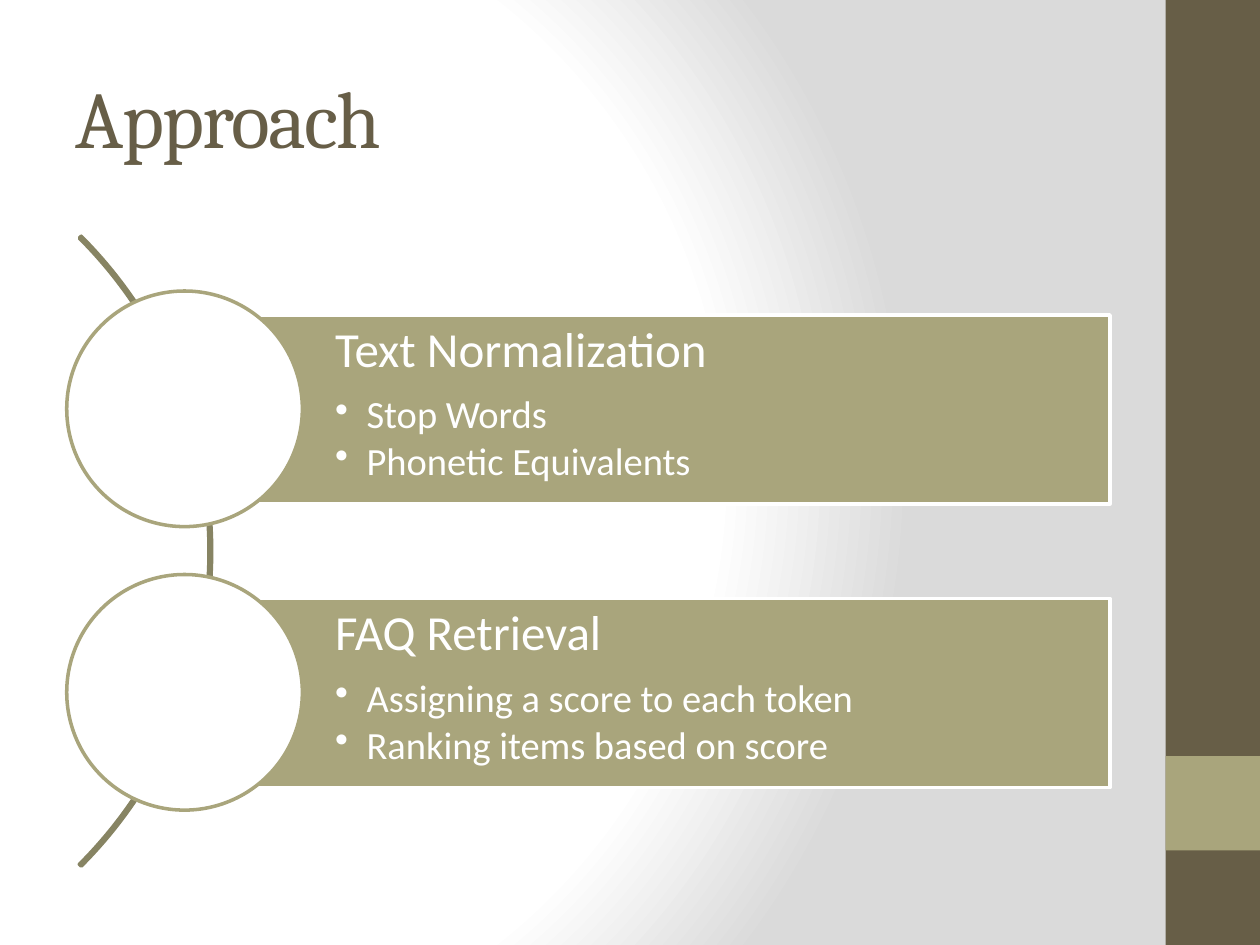
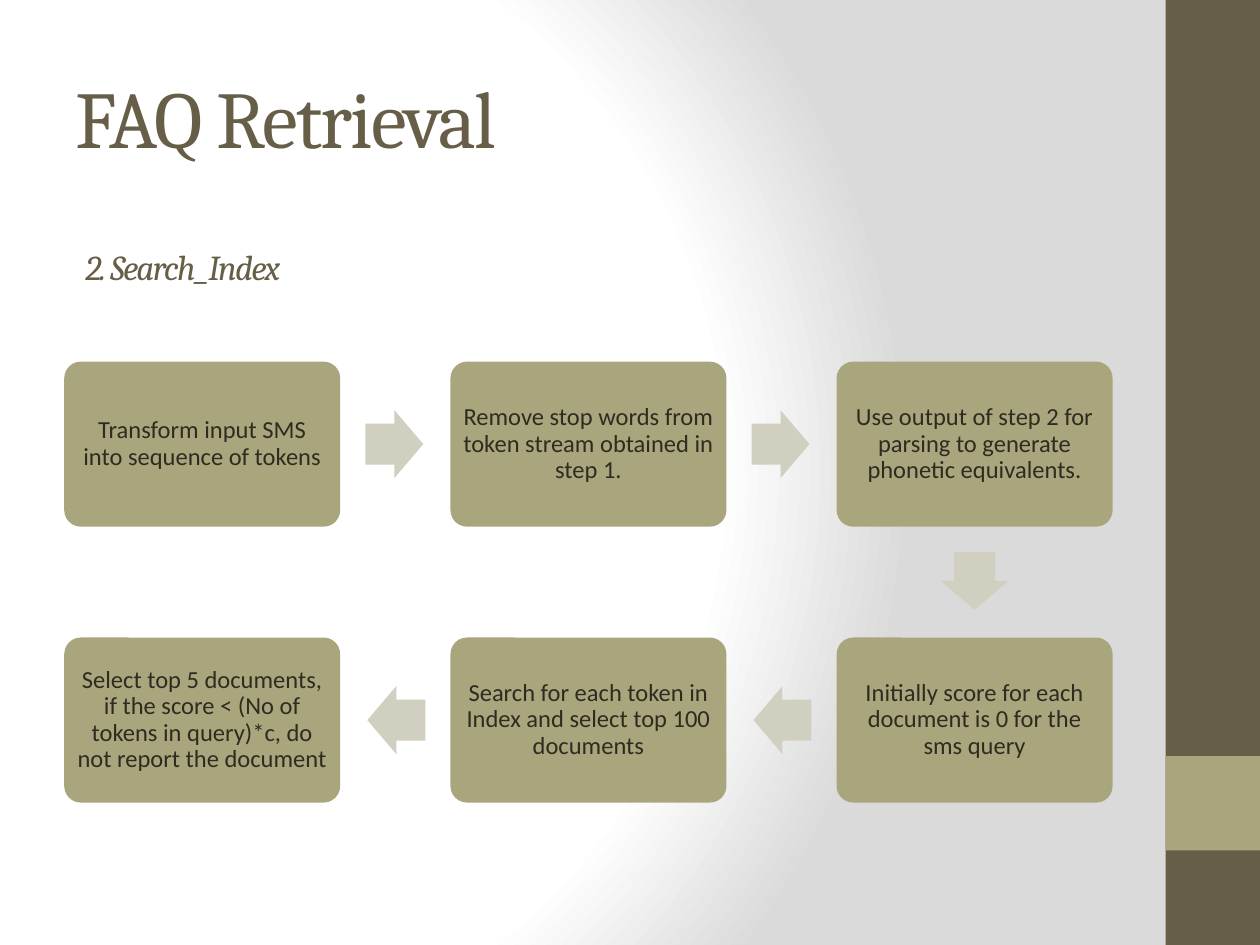
from dataclasses import dataclass

from lxml import etree
from pptx import Presentation
from pptx.dml.color import RGBColor
from pptx.enum.shapes import MSO_SHAPE
from pptx.enum.text import MSO_ANCHOR, MSO_AUTO_SIZE, PP_ALIGN
from pptx.oxml import parse_xml
from pptx.oxml.ns import qn
from pptx.util import Inches, Pt

RECT, OVAL = MSO_SHAPE.RECTANGLE, MSO_SHAPE.OVAL
ROUNDED, ARROW, ARC = MSO_SHAPE.ROUNDED_RECTANGLE, MSO_SHAPE.RIGHT_ARROW, MSO_SHAPE.BLOCK_ARC
TOP, MIDDLE = MSO_ANCHOR.TOP, MSO_ANCHOR.MIDDLE
LEFT, CENTER = PP_ALIGN.LEFT, PP_ALIGN.CENTER
NO_AUTOFIT = MSO_AUTO_SIZE.NONE
TITLE_ONLY = 5


@dataclass(frozen=True)
class Theme:
    brown: str = "675E47"
    olive: str = "A9A57C"
    arc: str = "878463"
    arrow: str = "D1CFBF"
    ink: str = "2F2B20"
    white: str = "FFFFFF"
    grey: str = "DADADA"
    head_font: str = "Cambria"
    body_font: str = "Calibri"
    title: int = 46
    subtitle: int = 20
    topic: int = 28
    bullet: int = 22
    step: int = 14
    outline: int = 2
    line_spacing: float = 0.9


T = Theme()


@dataclass(frozen=True)
class Box:
    """Left, top, width and height in inches."""
    x: float
    y: float
    w: float
    h: float

    def emu(self) -> tuple:
        return tuple(Inches(v) for v in (self.x, self.y, self.w, self.h))


@dataclass(frozen=True)
class Topic:
    name: str
    points: tuple[str, ...]


@dataclass(frozen=True)
class Step:
    """A cell of the flow, and the direction (dx, dy) of the arrow that leaves it."""
    col: int
    row: int
    text: str
    leaves: tuple[int, int] | None = None


TOPICS = (
    Topic("Text Normalization", ("Stop Words", "Phonetic Equivalents")),
    Topic("FAQ Retrieval", ("Assigning a score to each token", "Ranking items based on score")),
)

RIGHT, DOWN, BACK = (1, 0), (0, 1), (-1, 0)
ROTATION = {RIGHT: 0, DOWN: 90, BACK: 180}
STEPS = (
    Step(0, 0, "Transform input SMS into sequence of tokens", RIGHT),
    Step(1, 0, "Remove stop words from token stream obtained in step 1.", RIGHT),
    Step(2, 0, "Use output of step 2 for parsing to generate phonetic equivalents.", DOWN),
    Step(2, 1, "Initially score for each document is 0 for the sms query", BACK),
    Step(1, 1, "Search for each token in Index and select top 100 documents", BACK),
    Step(0, 1, "Select top 5 documents, if the score < (No of tokens in query)*c, "
               "do not report the document"),
)


def add_shape(s, kind, box: Box, fill: str | None, line: str | None = None, adjust=()):
    sp = s.shapes.add_shape(kind, *box.emu())
    sp.shadow.inherit = False
    if fill:
        sp.fill.solid()
        sp.fill.fore_color.rgb = RGBColor.from_string(fill)
    else:
        sp.fill.background()
    if line:
        sp.line.color.rgb = RGBColor.from_string(line)
        sp.line.width = Pt(T.outline)
    else:
        sp.line.fill.background()
    for i, value in enumerate(adjust):
        sp.adjustments[i] = value
    return sp


def set_frame(tf, anchor, left: float, other: float) -> None:
    tf.word_wrap = True
    tf.auto_size = NO_AUTOFIT
    tf.vertical_anchor = anchor
    tf.margin_left = Inches(left)
    tf.margin_top = tf.margin_right = tf.margin_bottom = Inches(other)


def style(p, font: str, size: int, color: str, align=LEFT) -> None:
    p.alignment = align
    p.font.name = font
    p.font.size = Pt(size)
    p.font.color.rgb = RGBColor.from_string(color)


def write_heading(sp, text: str, size: int, italic: bool = False) -> None:
    """Tightly spaced serif heading, used by titles and the subtitle."""
    tf = sp.text_frame
    set_frame(tf, MIDDLE, 0.1, 0.05)
    p = tf.paragraphs[0]
    r = p.add_run()
    r.text = text
    style(p, T.head_font, size, T.brown)
    p.font.italic = italic
    r._r.get_or_add_rPr().set("spc", "-100")


def add_bullet(p) -> None:
    pPr = p._p.get_or_add_pPr()
    pPr.set("marL", str(Inches(0.25)))
    pPr.set("indent", str(-Inches(0.25)))
    bullet = etree.Element(qn("a:buChar"), char="•")
    pPr.insert_element_before(bullet, "a:tabLst", "a:defRPr", "a:extLst")


def set_up_master(prs) -> None:
    """Give the master its radial background."""
    master = prs.slide_master
    master.background.fill.solid()
    stops = "".join(
        f'<a:gs pos="{pos * 1000}"><a:srgbClr val="{color}"/></a:gs>'
        for pos, color in ((0, T.white), (75, T.white), (100, T.grey)))
    gradient = parse_xml(
        '<a:gradFill xmlns:a="http://schemas.openxmlformats.org/drawingml/2006/main" '
        f'rotWithShape="1"><a:gsLst>{stops}</a:gsLst><a:path path="circle">'
        '<a:fillToRect l="20000" t="50000" r="100000" b="50000"/></a:path></a:gradFill>')
    bgPr = master.element.find(".//" + qn("p:bgPr"))
    bgPr.replace(bgPr.find(qn("a:solidFill")), gradient)


def move_bands_to_master(prs, s) -> None:
    """Draw the side bands on a slide, then hand them to the master."""
    tree = prs.slide_master.shapes._spTree
    bands = ((Box(9.25, 0, 0.75, 7.5), T.brown), (Box(9.25, 6, 0.75, 0.75), T.olive))
    for i, (box, color) in enumerate(bands):
        band = add_shape(s, RECT, box, color)
        band.name = f"Side band {i + 1}"
        band._element.nvSpPr.cNvPr.set("id", str(100 + i))
        tree.insert(2 + i, band._element)


def add_slide(prs, title: str):
    s = prs.slides.add_slide(prs.slide_layouts[TITLE_ONLY])
    sp = s.shapes.title
    sp.left, sp.top, sp.width, sp.height = Box(0.5, 0.3, 8.33, 1.25).emu()
    write_heading(sp, title, T.title)
    return s


def add_topic(s, topic: Topic, top: float) -> None:
    band = add_shape(s, RECT, Box(1.47, top, 7.34, 1.5), T.olive, T.white)
    tf = band.text_frame
    set_frame(tf, TOP, 1.19, 0.08)
    for i, text in enumerate((topic.name, *topic.points)):
        p = tf.add_paragraph() if i else tf.paragraphs[0]
        p.text = text
        p.line_spacing = T.line_spacing
        p.space_after = Pt(3 if i else 10)
        style(p, T.body_font, T.bullet if i else T.topic, T.white)
        if i:
            p.level = 1
            add_bullet(p)
    add_shape(s, OVAL, Box(0.53, top - 0.19, 1.87, 1.87), T.white, T.olive)


def add_step(s, step: Step) -> None:
    box = Box(0.51 + 3.065 * step.col, 2.87 + 2.19 * step.row, 2.19, 1.31)
    sp = add_shape(s, ROUNDED, box, T.olive, adjust=(0.1,))
    set_frame(sp.text_frame, MIDDLE, 0.06, 0.06)
    p = sp.text_frame.paragraphs[0]
    p.text = step.text
    p.line_spacing = T.line_spacing
    style(p, T.body_font, T.step, T.ink, CENTER)
    if step.leaves:
        add_arrow(s, box, step.leaves)


def add_arrow(s, box: Box, direction: tuple[int, int]) -> None:
    w, h, gap = 0.46, 0.54, 0.2
    dx, dy = direction
    reach = gap + w / 2
    cx = box.x + box.w / 2 + dx * (box.w / 2 + reach)
    cy = box.y + box.h / 2 + dy * (box.h / 2 + reach)
    arrow = add_shape(s, ARROW, Box(cx - w / 2, cy - h / 2, w, h), T.arrow, adjust=(0.6, 0.5))
    arrow.rotation = ROTATION[direction]


def build_approach(prs):
    s = add_slide(prs, "Approach")
    add_shape(s, ARC, Box(-5.39, 0.84, 7.07, 7.07), None, T.arc, (189, 27, 0.003))
    for i, topic in enumerate(TOPICS):
        add_topic(s, topic, 2.5 + 2.25 * i)
    return s


def build_retrieval(prs) -> None:
    s = add_slide(prs, "FAQ Retrieval")
    for step in STEPS:
        add_step(s, step)
    subtitle = s.shapes.add_textbox(*Box(0.58, 1.49, 8.33, 1.25).emu())
    write_heading(subtitle, "2. Search_Index", T.subtitle, italic=True)


def main() -> None:
    prs = Presentation()
    prs.slide_width, prs.slide_height = Inches(10), Inches(7.5)
    set_up_master(prs)
    approach = build_approach(prs)
    move_bands_to_master(prs, approach)
    build_retrieval(prs)
    prs.save("out.pptx")


if __name__ == "__main__":
    main()
